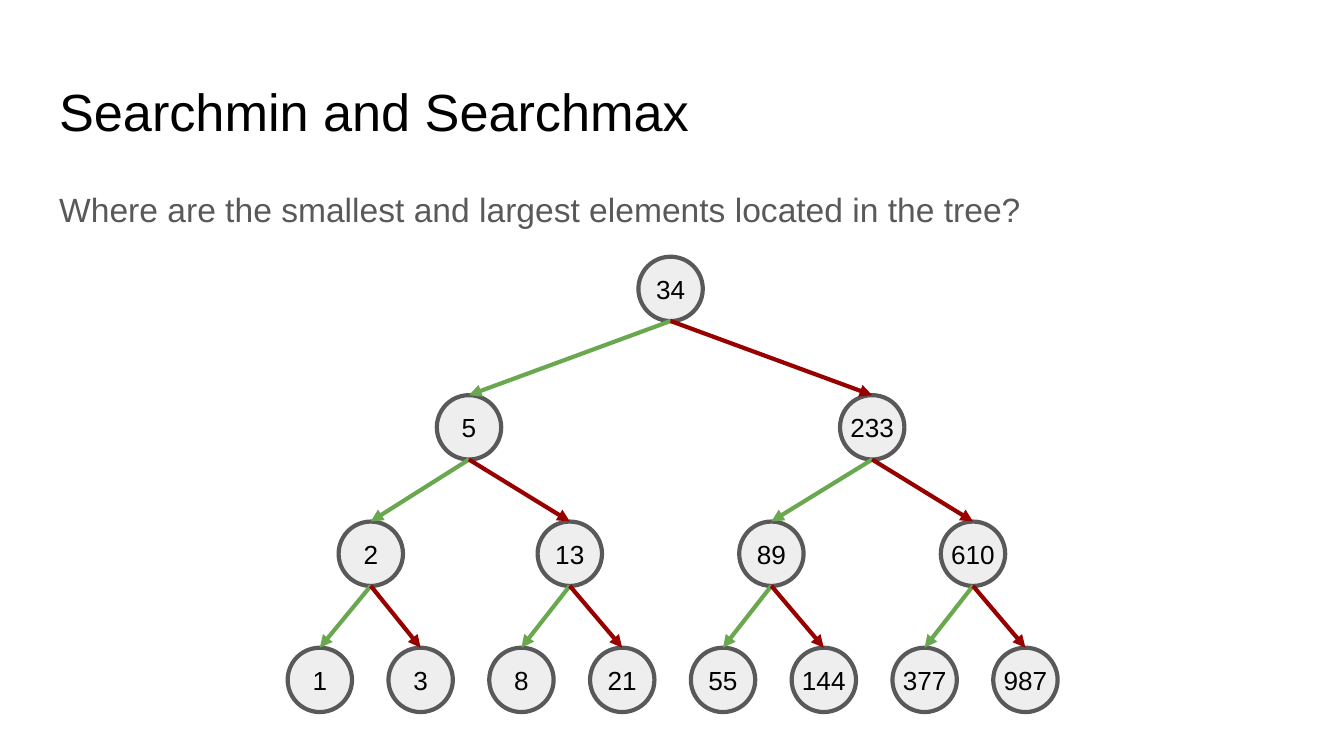
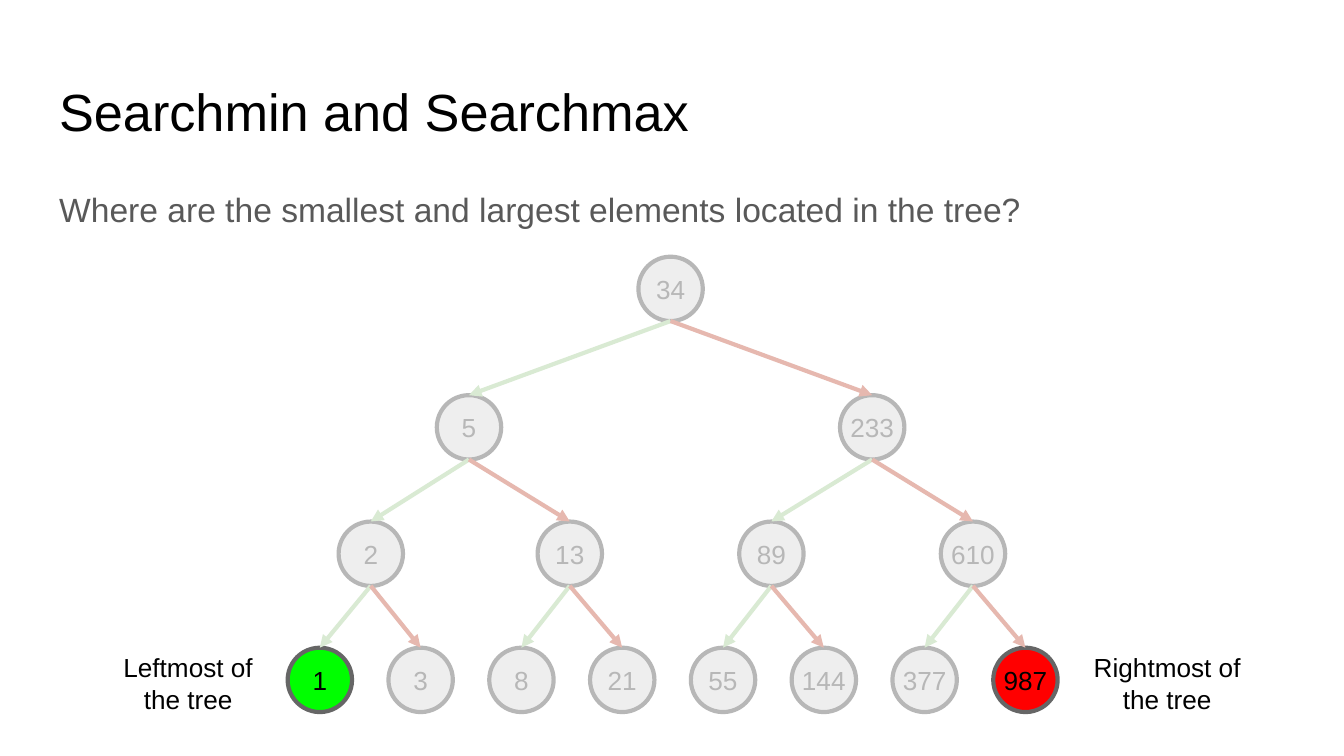
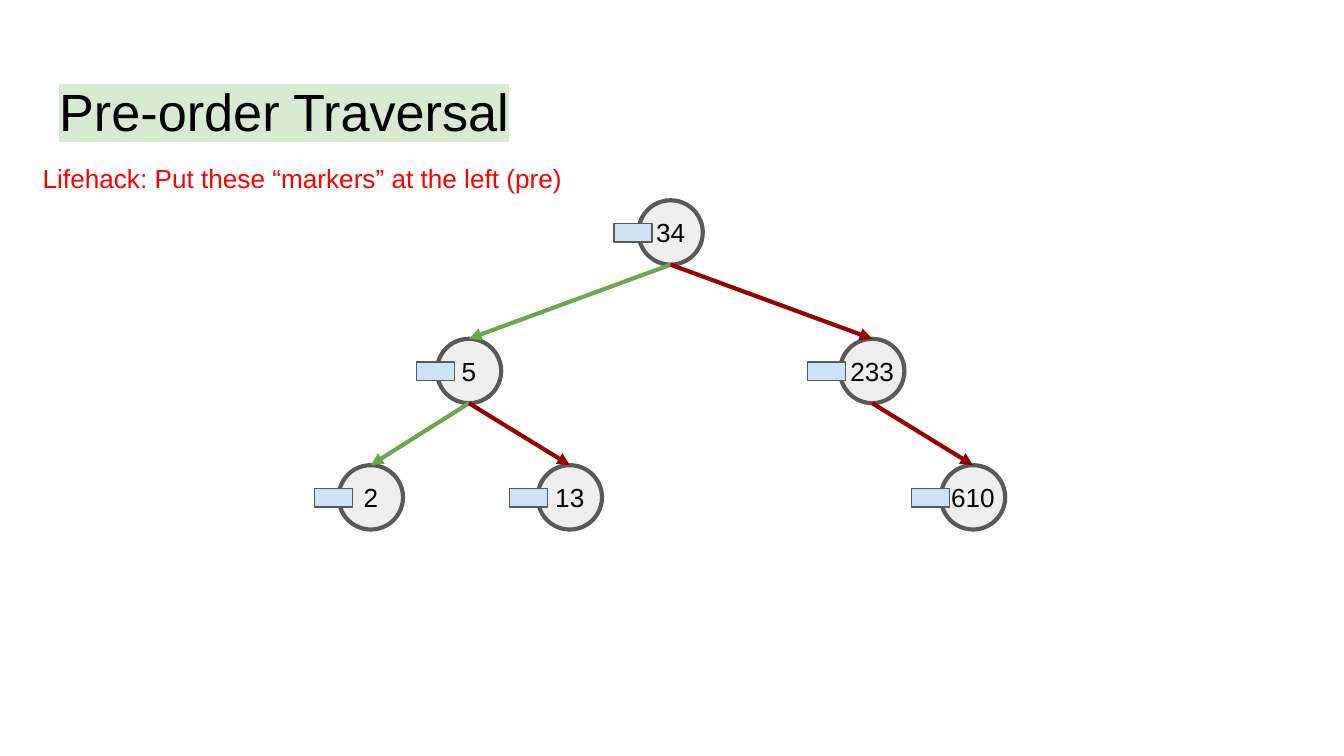
from lxml import etree
from pptx import Presentation
from pptx.dml.color import RGBColor
from pptx.enum.shapes import MSO_CONNECTOR, MSO_SHAPE
from pptx.enum.text import MSO_ANCHOR, MSO_AUTO_SIZE, PP_ALIGN
from pptx.oxml.ns import qn
from pptx.util import Pt

LEFT, MID = PP_ALIGN.LEFT, PP_ALIGN.CENTER
TOP, CORE = MSO_ANCHOR.TOP, MSO_ANCHOR.MIDDLE
OVAL, RECT = MSO_SHAPE.OVAL, MSO_SHAPE.RECTANGLE
LINE = MSO_CONNECTOR.STRAIGHT
FIXED = MSO_AUTO_SIZE.NONE

FONT = "Arial"
SIZE = 34.5
INK = {
    "black": "000000", "gray": "595959", "node": "EEEEEE",
    "green": "6AA84F", "maroon": "980000",
    "mute": "B7B7B7", "mint": "D9EAD3", "rose": "E6B8AF",
    "edge": "666666", "lime": "00FF00", "red": "FF0000", "sky": "CFE2F3",
}
FULL = {"line": "gray", "text": "black", "arms": ("green", "maroon")}
FADED = {"line": "mute", "text": "mute", "arms": ("mint", "rose")}

TOPS = [137.5, 211.7, 279.4, 347]
LEFTS = [[342], [234, 450], [181.4, 288, 396, 504],
         [154.1 + 54 * i for i in range(8)]]
KEYS = [[34], [5, 233], [2, 13, 89, 610],
        [1, 3, 8, 21, 55, 144, 377, 987]]
PART = [[34], [5, 233], [2, 13, None, 610]]
MARKS = {34: 329, 5: 223.2, 233: 432.7, 2: 168.5, 13: 272.9, 610: 488.2}


def tint(name):
    return RGBColor.from_string(INK[name])


def write(shape, text, size=14, color="black", align=LEFT, anchor=TOP,
          inset=7.2, mark=None, gap=None, after=None):
    frame = shape.text_frame
    frame.word_wrap = True
    frame.auto_size = FIXED
    frame.vertical_anchor = anchor
    frame.margin_left = frame.margin_right = Pt(inset)
    frame.margin_top = frame.margin_bottom = Pt(inset)
    para = frame.paragraphs[0]
    para.alignment = align
    para.space_before = Pt(0)
    if gap:
        para.line_spacing = gap
    if after:
        para.space_after = Pt(after)
    run = para.add_run()
    run.text = text
    run.font.name = FONT
    run.font.size = Pt(size)
    run.font.color.rgb = tint(color)
    if mark:
        glow = etree.Element(qn("a:highlight"))
        etree.SubElement(glow, qn("a:srgbClr"), val=INK[mark])
        run.font.fill._xPr.find(qn("a:solidFill")).addnext(glow)
    return para


class Deck:
    def __init__(self):
        self.file = Presentation()
        self.file.slide_width = Pt(720)
        self.file.slide_height = Pt(405)
        self.slide = None

    def place(self, shape, x, y, w, h):
        shape.left, shape.top, shape.width, shape.height = map(Pt, (x, y, w, h))

    def start(self, title, body=None, mark=None):
        layout = self.file.slide_layouts[1 if body else 5]
        self.slide = self.file.slides.add_slide(layout)
        head = self.slide.shapes.title
        self.place(head, 24.5, 35, 671, 45)
        write(head, title, size=28, mark=mark)
        if body:
            hold = self.slide.placeholders[1]
            self.place(hold, 24.5, 90.7, 671, 39.6)
            para = write(hold, body, size=18, color="gray", gap=1.15, after=16)
            props = para._p.get_or_add_pPr()
            props.set("marL", "0")
            props.set("indent", "0")
            etree.SubElement(props, qn("a:buNone"))

    def shape(self, kind, x, y, w, h, fill, line, width):
        item = self.slide.shapes.add_shape(kind, Pt(x), Pt(y), Pt(w), Pt(h))
        item.shadow.inherit = False
        item.fill.solid()
        item.fill.fore_color.rgb = tint(fill)
        item.line.color.rgb = tint(line)
        item.line.width = Pt(width)
        return item

    def node(self, key, x, y, fill, line, color):
        item = self.shape(OVAL, x, y, SIZE, SIZE, fill, line, 2.25)
        write(item, str(key), color=color, align=MID, anchor=CORE, inset=0)
        return item

    def arrow(self, start, end, color):
        x, y = start.left + start.width // 2, start.top + start.height
        item = self.slide.shapes.add_connector(LINE, x, y, x, y)
        item.end_connect(end, 0)
        item.line.color.rgb = tint(color)
        item.line.width = Pt(2.25)
        etree.SubElement(item.line._get_or_add_ln(), qn("a:tailEnd"), type="triangle")
        etree.SubElement(item._element.spPr, qn("a:effectLst"))

    def label(self, text, x, y, w, h, **form):
        box = self.slide.shapes.add_textbox(Pt(x), Pt(y), Pt(w), Pt(h))
        write(box, text, **form)

    def tree(self, keys, style, shift=0, picks=None):
        picks = picks or {}
        rows = []
        for row, lefts, top in zip(keys, LEFTS, TOPS):
            nodes = []
            for key, x in zip(row, lefts):
                if key is None:
                    nodes.append(None)
                    continue
                look = (style["line"], style["text"])
                if key in picks:
                    look = ("edge", "black")
                fill = picks.get(key, "node")
                nodes.append(self.node(key, x, top + shift, fill, *look))
            rows.append(nodes)
        for side, color in enumerate(style["arms"]):
            for above, below in zip(rows, rows[1:]):
                for start, end in zip(above, below[side::2]):
                    if end is not None:
                        self.arrow(start, end, color)

    def marks(self, keys, shift):
        for row, top in zip(keys, TOPS):
            for key in row:
                if key in MARKS:
                    self.shape(RECT, MARKS[key], top + shift + 12.4, 20.4, 10,
                               "sky", "gray", 0.75)


def main():
    deck = Deck()
    title = "Searchmin and Searchmax"
    ask = "Where are the smallest and largest elements located in the tree?"
    deck.start(title, ask)
    deck.tree(KEYS, FULL)

    deck.start(title, ask)
    deck.tree(KEYS, FADED, picks={1: "lime", 987: "red"})
    deck.label("Leftmost of the tree", 47.5, 342, 106.6, 45.4, align=MID)
    deck.label("Rightmost of the tree", 576.7, 342, 97.2, 45.4, align=MID)

    deck.start("Pre-order Traversal", mark="mint")
    deck.tree(PART, FULL, shift=-30.2)
    deck.marks(PART, shift=-30.2)
    deck.label("Lifehack: Put these “markers” at the left (pre)",
               15.8, 80, 306.7, 21.6, color="red")

    deck.file.save("out.pptx")


if __name__ == "__main__":
    main()
